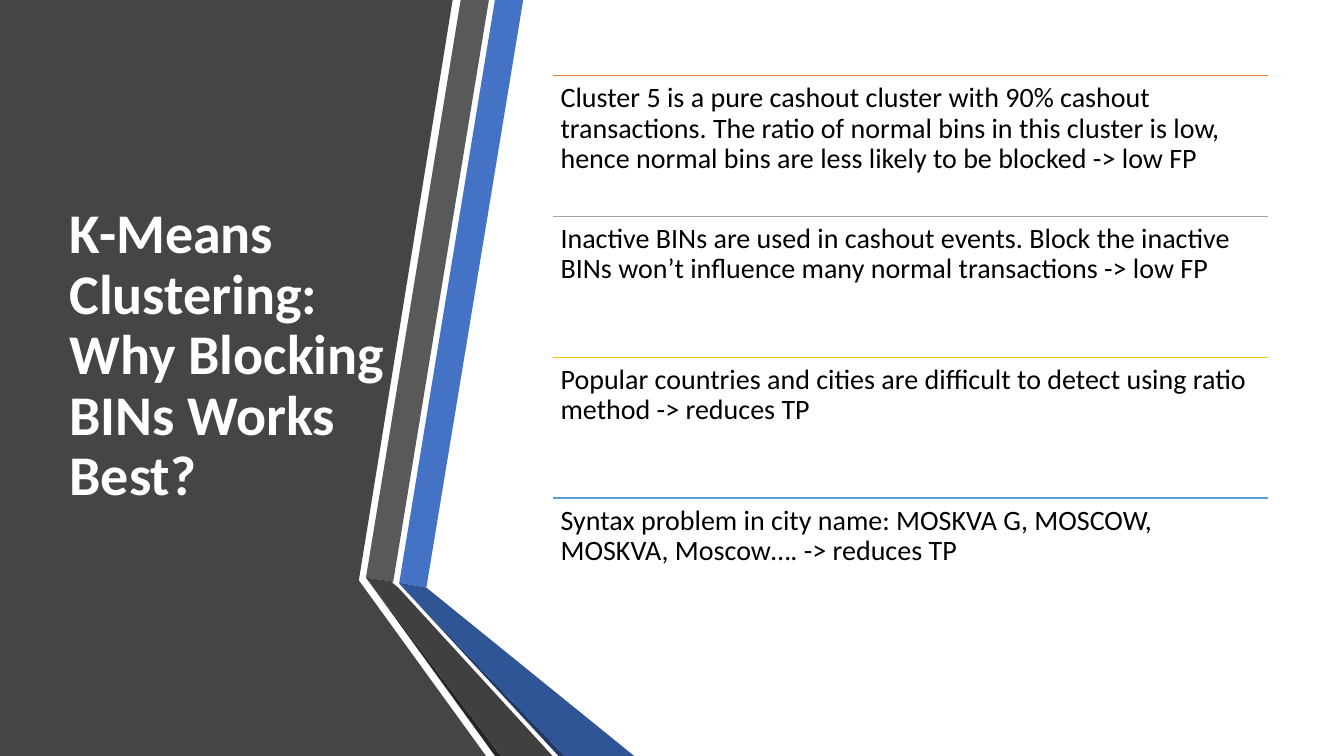
from lxml.etree import SubElement
from pptx import Presentation
from pptx.dml.color import RGBColor
from pptx.enum.shapes import MSO_CONNECTOR as Connector
from pptx.enum.text import MSO_ANCHOR as Anchor, MSO_AUTO_SIZE as AutoSize, PP_ALIGN as Align
from pptx.oxml.ns import qn
from pptx.util import Inches, Pt

RIBBONS = [
    ("454545", [(0, 0), (33.68, 0), (26.71, 76.67), (26.71, 76.8), (36.16, 100), (0, 100)]),
    ("4472C4", [(29.71, 77.07), (31.73, 77.73), (38.93, 0), (36.83, 0)]),
    ("595959", [(36.38, 0), (34.28, 0), (27.23, 76.4), (29.26, 76.93)]),
    ("262626", [(27.23, 76.4), (36.83, 100), (37.28, 100)]),
    ("203864", [(29.71, 77.2), (41.56, 100), (42.01, 100)]),
    ("2F5597", [(29.71, 77.2), (42.01, 100), (47.19, 100), (31.73, 77.73), (29.71, 77.07)]),
    ("404040", [(41.11, 100), (29.63, 77.73), (29.18, 77.07), (29.26, 76.93),
                (27.23, 76.4), (37.28, 100)]),
]

REASONS = [
    ("ED7D31", "Cluster 5 is a pure cashout cluster with 90% cashout transactions. The ratio of "
               "normal bins in this cluster is low, hence normal bins are less likely to be "
               "blocked -> low FP"),
    ("A5A5A5", "Inactive BINs are used in cashout events. Block the inactive BINs won’t "
               "influence many normal transactions -> low FP"),
    ("FFC000", "Popular countries and cities are difficult to detect using ratio method "
               "-> reduces TP"),
    ("5B9BD5", "Syntax problem in city name: MOSKVA G, MOSCOW, MOSKVA, Moscow…. -> reduces TP"),
]

REASON_LEFT, REASON_WIDTH = 41.11, 53.26
REASON_TOP, REASON_HEIGHT = 10, 18.63


def color(hex_code):
    return RGBColor.from_string(hex_code)


class SlideBuilder:
    font_name = "Calibri"
    line_spacing = 0.9

    def __init__(self, deck):
        self.width, self.height = deck.slide_width, deck.slide_height
        self.slide = deck.slides.add_slide(deck.slide_layouts[5])

    def x(self, percent):
        return round(self.width * percent / 100)

    def y(self, percent):
        return round(self.height * percent / 100)

    def ribbon(self, fill, corners):
        start, *others = [(self.x(across), self.y(down)) for across, down in corners]
        outline = self.slide.shapes.build_freeform(*start)
        outline.add_line_segments(others, close=True)
        ribbon = outline.convert_to_shape()
        ribbon.shadow.inherit = False
        ribbon.fill.solid()
        ribbon.fill.fore_color.rgb = color(fill)
        ribbon.line.fill.background()

    def add_text(self, frame, text, size, ink, bold=False):
        frame.word_wrap = True
        frame.auto_size = AutoSize.NONE
        paragraph = frame.paragraphs[0]
        paragraph.alignment = Align.LEFT
        paragraph.line_spacing = self.line_spacing
        run = paragraph.add_run()
        run.text = text
        run.font.name = self.font_name
        run.font.size = Pt(size)
        run.font.bold = bold
        run.font.color.rgb = color(ink)
        return paragraph

    def title(self, text, left, top, width, height):
        heading = self.slide.shapes.title
        heading.left, heading.top = self.x(left), self.y(top)
        heading.width, heading.height = self.x(width), self.y(height)
        heading.text_frame.vertical_anchor = Anchor.MIDDLE
        self.add_text(heading.text_frame, text, 40, "FFFFFF", bold=True)
        heading.element.getparent().append(heading.element)

    def rule(self, left, top, width, ink):
        rule = self.slide.shapes.add_connector(
            Connector.STRAIGHT, self.x(left), self.y(top), self.x(left + width), self.y(top))
        rule.line.color.rgb = color(ink)
        rule.line.width = Pt(1)
        SubElement(rule.element.spPr, qn("a:effectLst"))

    def reason(self, text, left, top, width, height):
        reason = self.slide.shapes.add_textbox(
            self.x(left), self.y(top), self.x(width), self.y(height))
        frame = reason.text_frame
        frame.margin_left = frame.margin_right = Inches(0.08)
        frame.margin_top = frame.margin_bottom = Inches(0.08)
        frame.vertical_anchor = Anchor.TOP
        self.add_text(frame, text, 20, "000000").space_after = Pt(7)


def main():
    deck = Presentation()
    deck.slide_width, deck.slide_height = Inches(13.33), Inches(7.5)
    builder = SlideBuilder(deck)
    for fill, corners in RIBBONS:
        builder.ribbon(fill, corners)
    builder.title("K-Means Clustering: Why Blocking BINs Works Best?", 4.43, 10, 25.06, 74.4)
    for row, (ink, text) in enumerate(REASONS):
        top = REASON_TOP + row * REASON_HEIGHT
        builder.rule(REASON_LEFT, top, REASON_WIDTH, ink)
        builder.reason(text, REASON_LEFT, top, REASON_WIDTH, REASON_HEIGHT)
    deck.save("out.pptx")


if __name__ == "__main__":
    main()
